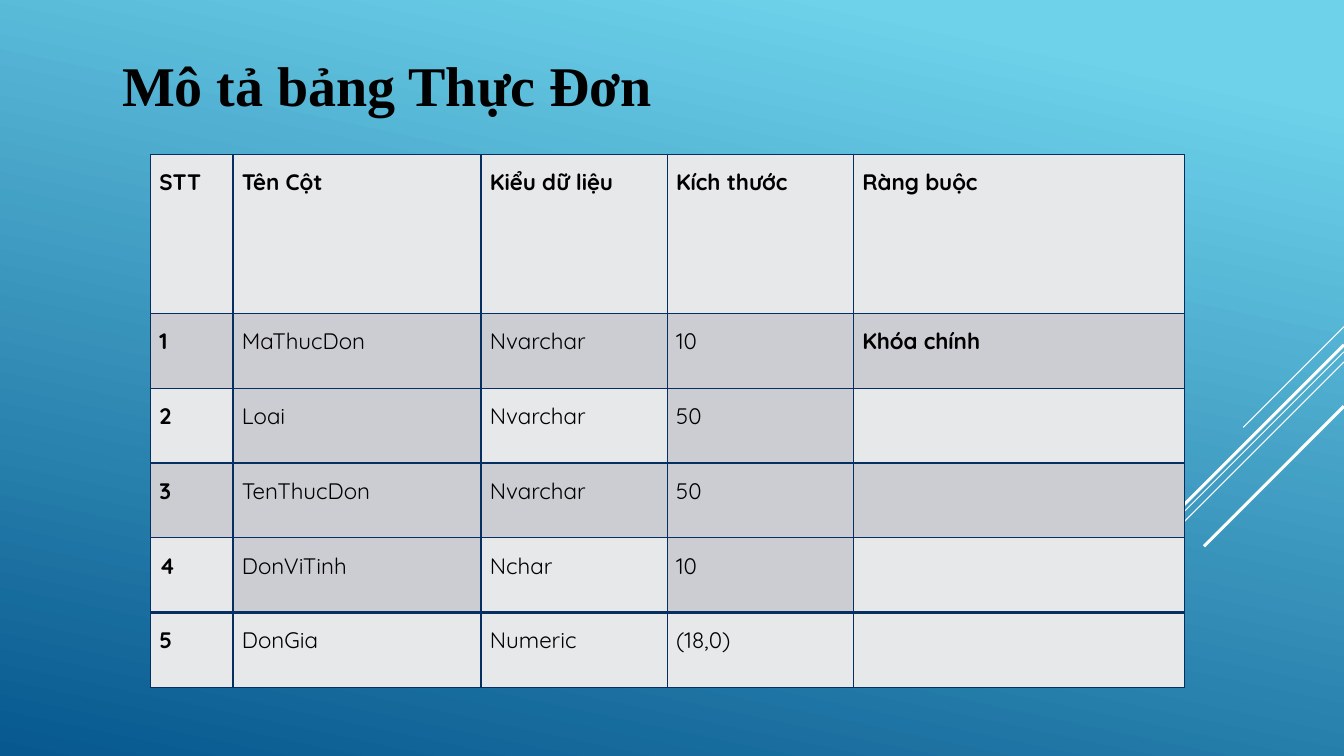
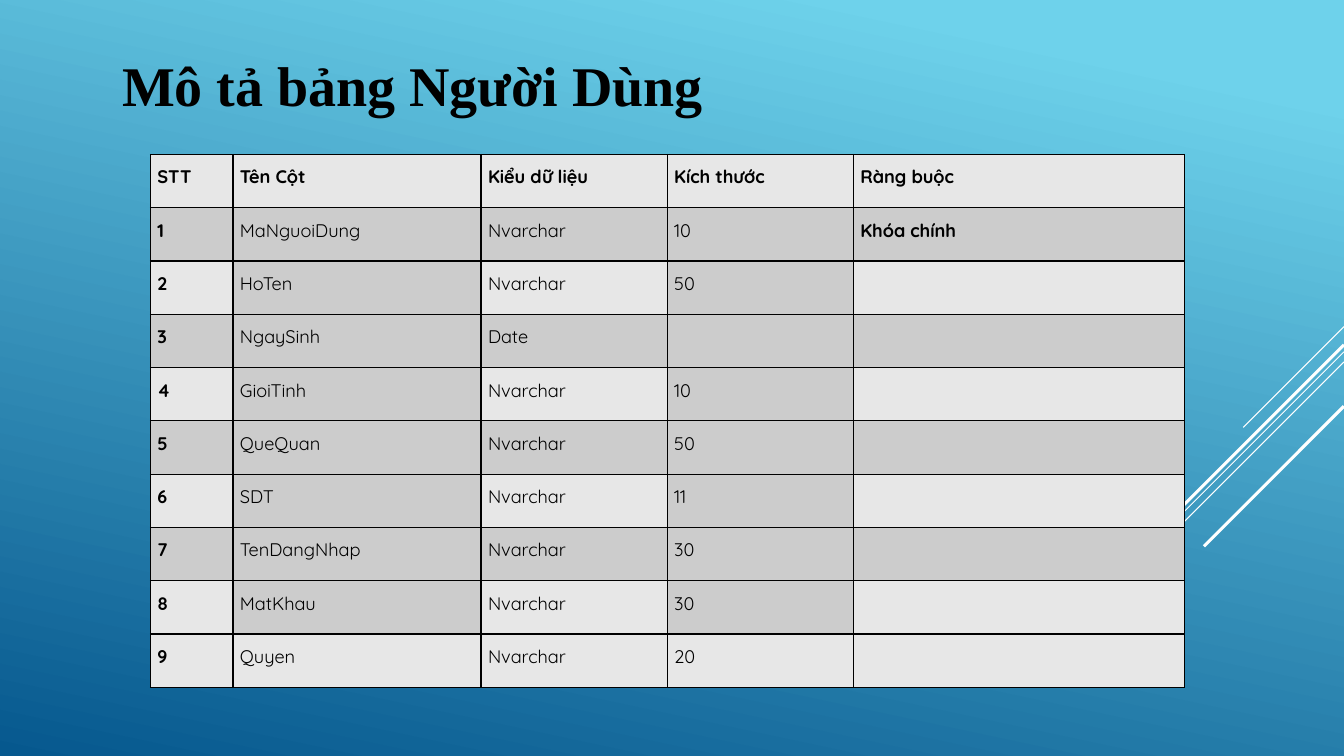
from dataclasses import dataclass

from lxml import etree
from pptx import Presentation
from pptx import util as u
from pptx.dml.color import RGBColor
from pptx.enum import text
from pptx.oxml.ns import qn
from pptx.slide import Slide, SlideMaster
from pptx.table import _Cell

Pt = u.Pt


@dataclass(frozen=True)
class Theme:
    sky: str = "6ED2EB"
    deep: str = "06588E"
    ray: str = "FFFFFF"
    ink: str = "000000"
    title_font: str = "Times New Roman"
    table_font: str = "Quicksand"
    title_size: float = 40
    line_spacing: float = 1.5
    border: float = 1
    last_row_border: float = 2


@dataclass(frozen=True)
class TableLook:
    light: str
    dark: str
    border: str
    size: float
    inset: float
    header_height: float
    row_height: float


@dataclass(frozen=True)
class Ray:
    top: float
    reach: float
    weight: float


@dataclass(frozen=True)
class Description:
    title: str
    title_width: float
    look: TableLook
    columns: list[tuple[str, str, str]]


THEME = Theme()
SLIDE_WIDTH, SLIDE_HEIGHT = 960, 540
TITLE_LEFT, TITLE_TOP, TITLE_HEIGHT = 80, 32.4, 55.4
TABLE_LEFT, TABLE_TOP = 107.4, 110.3
COLUMN_WIDTHS = (59, 177.2, 133, 133, 236.4)
HEADINGS = ("STT", "Tên Cột", "Kiểu dữ liệu", "Kích thước", "Ràng buộc")
BOLD_COLUMNS = (0, 4)
SHADED_COLUMNS = (1, 3)

RAYS = (
    Ray(233.3, 72, 0.75),
    Ray(251.3, 234.7, 0.75),
    Ray(258.5, 149.4, 0.75),
    Ray(246.3, 137.5, 2.25),
    Ray(290.2, 100, 2.25),
)

DESCRIPTIONS = (
    Description(
        "Mô tả bảng Thực Đơn", 396.7,
        TableLook("E7E8EA", "CCCDD2", "052F61", 16, 6.4, 113.6, 53.46),
        [
            ("MaThucDon", "Nvarchar", "10"),
            ("Loai", "Nvarchar", "50"),
            ("TenThucDon", "Nvarchar", "50"),
            ("DonViTinh", "Nchar", "10"),
            ("DonGia", "Numeric", "(18,0)"),
        ],
    ),
    Description(
        "Mô tả bảng Người Dùng", 433.4,
        TableLook("E7E7E7", "CCCCCC", "000000", 13, 5, 38.09, 38.09),
        [
            ("MaNguoiDung", "Nvarchar", "10"),
            ("HoTen", "Nvarchar", "50"),
            ("NgaySinh", "Date", ""),
            ("GioiTinh", "Nvarchar", "10"),
            ("QueQuan", "Nvarchar", "50"),
            ("SDT", "Nvarchar", "11"),
            ("TenDangNhap", "Nvarchar", "30"),
            ("MatKhau", "Nvarchar", "30"),
            ("Quyen", "Nvarchar", "20"),
        ],
    ),
)


def rgb(value: str) -> RGBColor:
    return RGBColor.from_string(value)


def paint_background(master: SlideMaster) -> None:
    fill = master.background.fill
    fill.gradient()
    fill.gradient_angle = 360 - 102
    for stop, position, color in zip(fill.gradient_stops, (0.1, 1), (THEME.sky, THEME.deep)):
        stop.position = position
        stop.color.rgb = rgb(color)


def draw_ray(slide: Slide, ray: Ray) -> None:
    beam = slide.shapes.add_connector(
        1, Pt(SLIDE_WIDTH), Pt(ray.top), Pt(SLIDE_WIDTH - ray.reach), Pt(ray.top + ray.reach))
    beam.line.color.rgb = rgb(THEME.ray)
    beam.line.width = Pt(ray.weight)
    etree.SubElement(beam.element.spPr, qn("a:effectLst"))


def format_runs(paragraph, font: str, size: float, bold: bool) -> None:
    for run in paragraph.runs:
        run.font.name = font
        run.font.size = Pt(size)
        run.font.bold = bold
        run.font.color.rgb = rgb(THEME.ink)


def place_title(slide: Slide, wording: str, width: float) -> None:
    title = slide.shapes.title
    title.left, title.top = Pt(TITLE_LEFT), Pt(TITLE_TOP)
    title.width, title.height = Pt(width), Pt(TITLE_HEIGHT)
    frame = title.text_frame
    frame.text = wording
    frame.word_wrap = False
    frame.auto_size = text.MSO_AUTO_SIZE.SHAPE_TO_FIT_TEXT
    frame.vertical_anchor = text.MSO_ANCHOR.TOP
    paragraph = frame.paragraphs[0]
    paragraph.alignment = text.PP_ALIGN.LEFT
    format_runs(paragraph, THEME.title_font, THEME.title_size, True)


def set_borders(cell: _Cell, color: str, top: float, bottom: float) -> None:
    properties = cell._tc.get_or_add_tcPr()
    sides = {"L": THEME.border, "R": THEME.border, "T": top, "B": bottom}
    for side, weight in sides.items():
        edge = etree.SubElement(properties, qn(f"a:ln{side}"), w=str(Pt(weight)))
        paint = etree.SubElement(edge, qn("a:solidFill"))
        etree.SubElement(paint, qn("a:srgbClr"), val=color)


def format_cell(cell: _Cell, wording: str, look: TableLook, bold: bool, shaded: bool) -> None:
    cell.margin_left = cell.margin_right = Pt(look.inset)
    cell.margin_top = cell.margin_bottom = 0
    cell.fill.solid()
    cell.fill.fore_color.rgb = rgb(look.dark if shaded else look.light)
    cell.text_frame.text = wording
    paragraph = cell.text_frame.paragraphs[0]
    paragraph.alignment = text.PP_ALIGN.JUSTIFY
    paragraph.line_spacing = THEME.line_spacing
    format_runs(paragraph, THEME.table_font, look.size, bold)


def draw_table(slide: Slide, description: Description) -> None:
    look = description.look
    rows = [HEADINGS]
    for number, column in enumerate(description.columns, 1):
        rows.append((str(number), *column, "Khóa chính" if number == 1 else ""))
    last = len(rows) - 1
    height = look.header_height + last * look.row_height
    table = slide.shapes.add_table(
        len(rows), len(HEADINGS), Pt(TABLE_LEFT), Pt(TABLE_TOP),
        Pt(sum(COLUMN_WIDTHS)), Pt(height)).table
    table.first_row = table.horz_banding = False
    for column, width in zip(table.columns, COLUMN_WIDTHS):
        column.width = Pt(width)
    for r, row in enumerate(rows):
        table.rows[r].height = Pt(look.row_height if r else look.header_height)
        top = THEME.last_row_border if r == last else THEME.border
        bottom = THEME.last_row_border if r == last - 1 else THEME.border
        for c, wording in enumerate(row):
            cell = table.cell(r, c)
            set_borders(cell, look.border, top, bottom)
            shaded = 0 < r < last and (r % 2 == 1 or c in SHADED_COLUMNS)
            format_cell(cell, wording, look, r == 0 or c in BOLD_COLUMNS, shaded)


def main() -> None:
    deck = Presentation()
    deck.slide_width, deck.slide_height = Pt(SLIDE_WIDTH), Pt(SLIDE_HEIGHT)
    paint_background(deck.slide_master)
    title_only = deck.slide_layouts.get_by_name("Title Only")
    for description in DESCRIPTIONS:
        slide = deck.slides.add_slide(title_only)
        for ray in RAYS:
            draw_ray(slide, ray)
        place_title(slide, description.title, description.title_width)
        draw_table(slide, description)
    deck.save("out.pptx")


if __name__ == "__main__":
    main()
